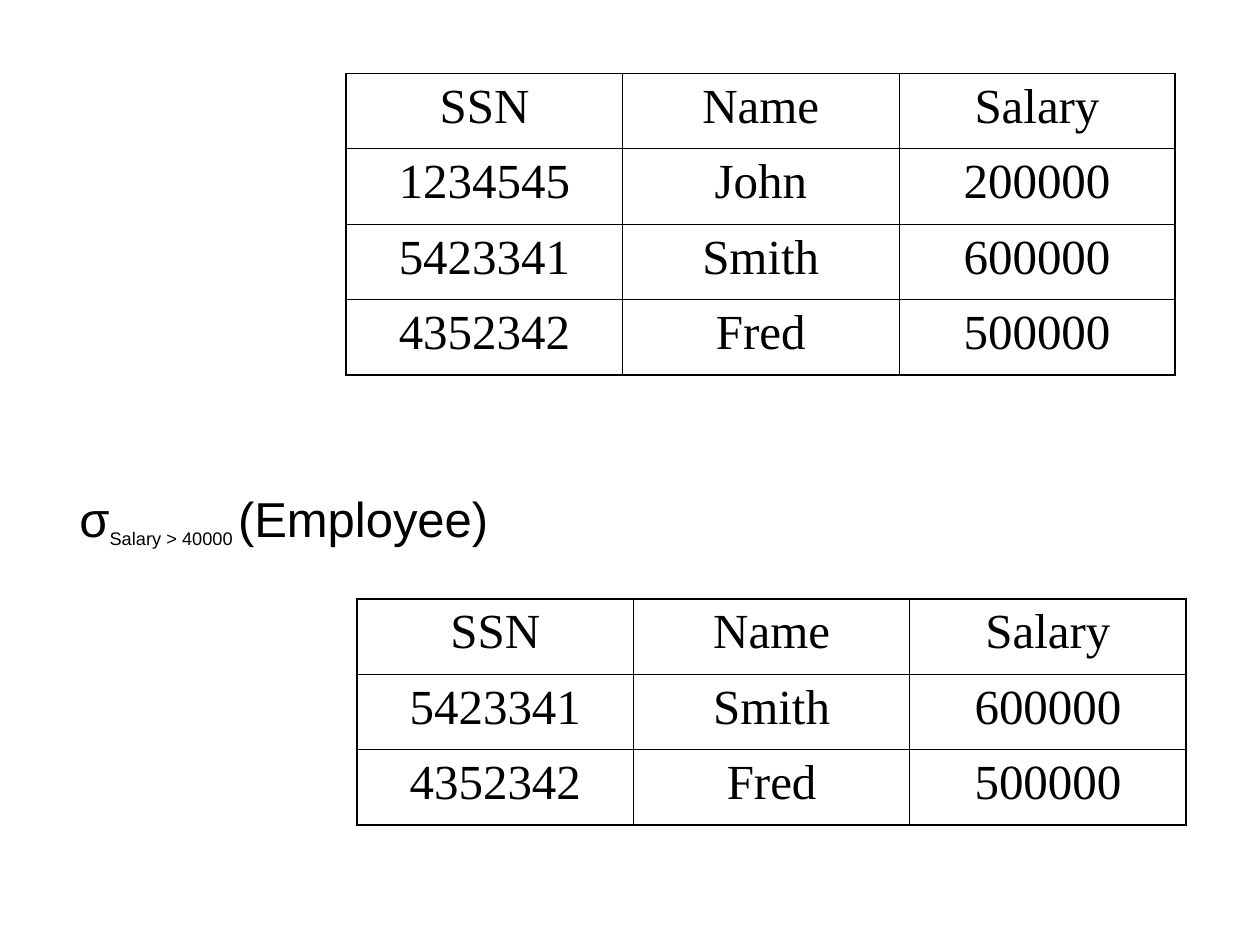
from lxml.etree import SubElement
from pptx import Presentation
from pptx.dml.color import RGBColor
from pptx.enum.text import MSO_AUTO_SIZE as AutoSize, PP_ALIGN as Align
from pptx.oxml.ns import qn
from pptx.util import Cm, Pt

BLACK = "000000"
COL_W, ROW_H = 5.57, 1.52
THICK, THIN = Pt(1.08), Pt(0.45)
HEADER = ("SSN", "Name", "Salary")
EMPLOYEES = (
    ("1234545", "John", "200000"),
    ("5423341", "Smith", "600000"),
    ("4352342", "Fred", "500000"),
)


def color(value):
    """Turn a hex string into a colour."""
    return RGBColor.from_string(value)


def style_paragraph(p, name):
    """Give a paragraph the slide's text size, colour and spacing."""
    p.space_before = Pt(7)
    p.font.size = Pt(28)
    p.font.name = name
    p.font.color.rgb = color(BLACK)


def set_borders(cell, outer):
    """Draw the cell's sides, thick where they lie on the table's edge."""
    tc_pr = cell._tc.get_or_add_tcPr()
    for i, (side, is_outer) in enumerate(outer.items()):
        ln = tc_pr.makeelement(qn(f"a:ln{side}"), {"w": str(THICK if is_outer else THIN)})
        fill = SubElement(ln, qn("a:solidFill"))
        SubElement(fill, qn("a:srgbClr"), val=BLACK)
        tc_pr.insert(i, ln)


def add_relation(s, left, top, records):
    """Place a relation as a ruled table with a header row."""
    rows = (HEADER, *records)
    last_row, last_col = len(rows) - 1, len(HEADER) - 1
    table = s.shapes.add_table(
        len(rows), len(HEADER), Cm(left), Cm(top),
        Cm(COL_W * len(HEADER)), Cm(ROW_H * len(rows)),
    ).table
    table.first_row = table.horz_banding = False
    for col in table.columns:
        col.width = Cm(COL_W)
    for r, values in enumerate(rows):
        table.rows[r].height = Cm(ROW_H)
        for c, value in enumerate(values):
            cell = table.cell(r, c)
            cell.text = value
            cell.fill.background()
            p = cell.text_frame.paragraphs[0]
            p.alignment = Align.CENTER
            style_paragraph(p, "Times New Roman")
            set_borders(cell, {"L": c == 0, "R": c == last_col, "T": r == 0, "B": r == last_row})


def add_selection(s, left, top, width, height):
    """Place the selection expression with its subscript condition."""
    sp = s.shapes.add_textbox(Cm(left), Cm(top), Cm(width), Cm(height))
    tf = sp.text_frame
    tf.word_wrap = False
    tf.auto_size = AutoSize.SHAPE_TO_FIT_TEXT
    p = tf.paragraphs[0]
    style_paragraph(p, "Arial")
    operator, condition, relation = (p.add_run() for _ in range(3))
    operator.text = "σ"
    condition.text = "Salary > 40000 "
    condition.font.size = Pt(18)
    condition.font._element.set("baseline", "-25000")
    relation.text = "(Employee)"
    for r in p.runs:
        r.font.name = "Arial"


def main():
    """Build the slide and save it."""
    prs = Presentation()
    prs.slide_width, prs.slide_height = Cm(25.4), Cm(19.05)
    s = prs.slides.add_slide(prs.slide_layouts[6])
    add_selection(s, 1.35, 9.73, 8.81, 1.47)
    add_relation(s, 6.98, 1.48, EMPLOYEES)
    add_relation(s, 7.2, 12.07, EMPLOYEES[1:])
    prs.save("out.pptx")


if __name__ == "__main__":
    main()
